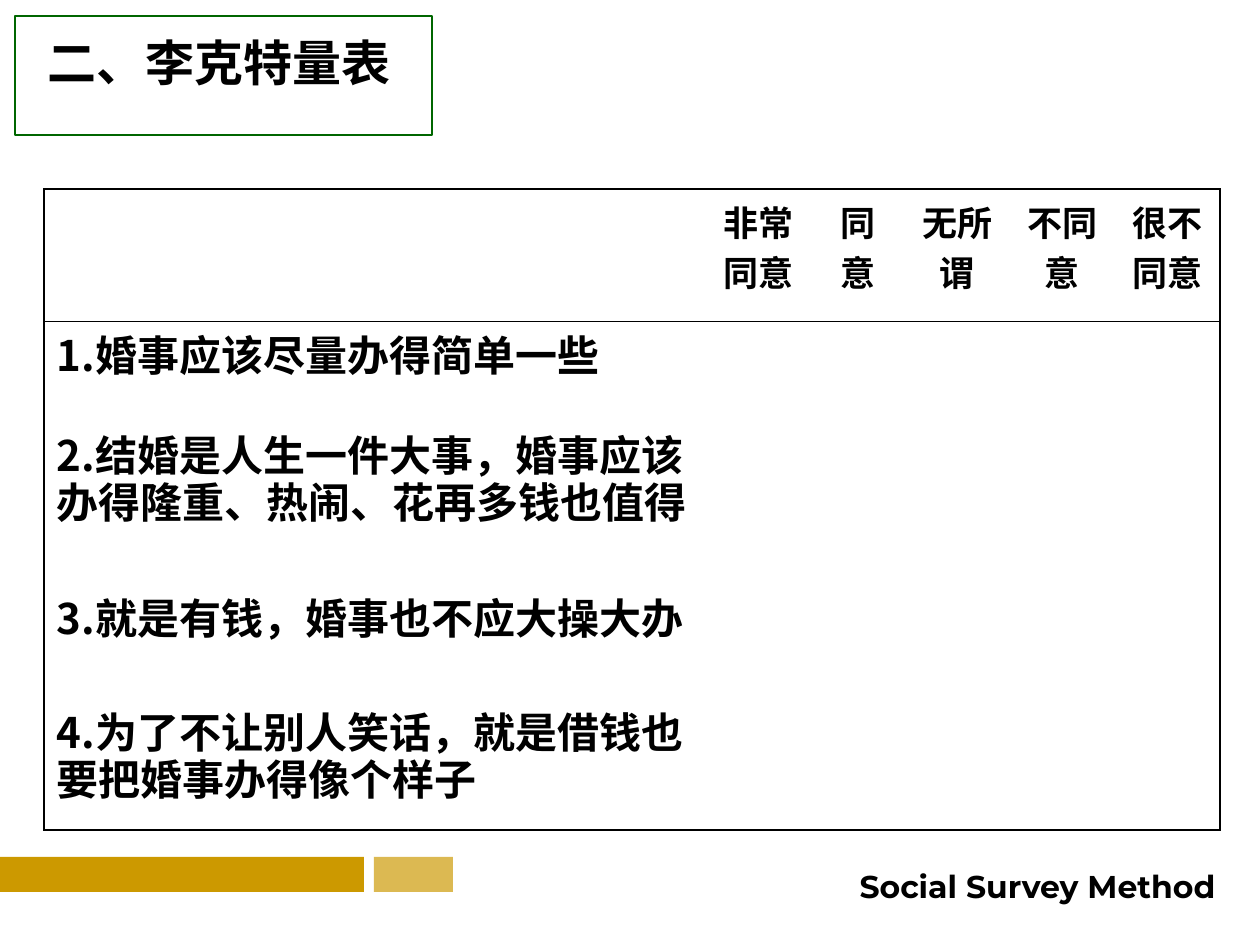
from lxml import etree
from pptx import Presentation
from pptx import util as u
from pptx.dml.color import RGBColor
from pptx.enum import shapes, text
from pptx.oxml import parse_xml
from pptx.oxml.ns import nsdecls, qn

BLACK = RGBColor(0x00, 0x00, 0x00)
GOLD = RGBColor(0xCC, 0x99, 0x00)
GREEN = RGBColor(0x00, 0x66, 0x00)
EMU_PER_PX = 914400 / 126
HEADINGS = ["非常同意", "同意", "无所谓", "不同意", "很不同意"]
STATEMENTS = [
    "1.婚事应该尽量办得简单一些",
    "2.结婚是人生一件大事，婚事应该办得隆重、热闹、花再多钱也值得",
    "3.就是有钱，婚事也不应大操大办",
    "4.为了不让别人笑话，就是借钱也要把婚事办得像个样子",
]
COLUMNS = [662, 105, 94, 105, 105, 105]
ROWS = [132, 100, 163, 114, 132]


def px(*lengths):
    return [u.Emu(round(length * EMU_PER_PX)) for length in lengths]


class SlideBuilder:
    """Holds the style and the current slide, with a method for each kind of element."""

    cjk_font = "Noto Sans CJK SC"
    outer_line, inner_line = 1.08, 0.45

    def __init__(self, presentation):
        self.slide = presentation.slides.add_slide(presentation.slide_layouts[5])

    def fill_paragraph(self, paragraph, words, size, font, align=text.PP_ALIGN.LEFT):
        run = paragraph.add_run()
        run.text = words
        paragraph.alignment = align
        run.font.name, run.font.size, run.font.bold = font, u.Pt(size), True
        run.font.color.rgb = BLACK
        east_asian = etree.Element(qn("a:ea"), typeface=self.cjk_font)
        run.font._element.find(qn("a:latin")).addnext(east_asian)

    def title(self, box, words):
        title = self.slide.shapes.title
        title.left, title.top, title.width, title.height = px(*box)
        frame = title.text_frame
        frame.word_wrap = True
        frame.auto_size = text.MSO_AUTO_SIZE.NONE
        frame.vertical_anchor = text.MSO_ANCHOR.TOP
        self.fill_paragraph(frame.paragraphs[0], words, 28, "Arial")

    def rectangle(self, box, fill=None, line=None, alpha=None):
        shape = self.slide.shapes.add_shape(shapes.MSO_SHAPE.RECTANGLE, *px(*box))
        shape.shadow.inherit = False
        if fill is None:
            shape.fill.background()
        else:
            shape.fill.solid()
            shape.fill.fore_color.rgb = fill
        if line is None:
            shape.line.fill.background()
        else:
            shape.line.color.rgb = line
            shape.line.width = u.Pt(0.75)
        if alpha is not None:
            color = shape._element.spPr.find(".//" + qn("a:srgbClr"))
            etree.SubElement(color, qn("a:alpha"), val=str(alpha * 1000))

    def label(self, box, words):
        frame = self.slide.shapes.add_textbox(*px(*box)).text_frame
        frame.word_wrap = False
        self.fill_paragraph(frame.paragraphs[0], words, 18, "Montserrat", text.PP_ALIGN.CENTER)

    def borders(self, cell, widths):
        properties = cell._tc.get_or_add_tcPr()
        for index, (side, width) in enumerate(zip("LRTB", widths)):
            paint = f'<a:solidFill><a:srgbClr val="{BLACK}"/></a:solidFill>' if width else "<a:noFill/>"
            properties.insert(index, parse_xml(
                f'<a:ln{side} {nsdecls("a")} w="{int(u.Pt(width))}">{paint}</a:ln{side}>'))

    def scale_table(self, left, top):
        frame = self.slide.shapes.add_table(
            len(ROWS), len(COLUMNS), *px(left, top, sum(COLUMNS), sum(ROWS)))
        table = frame.table
        table.first_row = table.horz_banding = False
        for column, width in zip(table.columns, px(*COLUMNS)):
            column.width = width
        for row, height in zip(table.rows, px(*ROWS)):
            row.height = height
        last_row, last_column = len(ROWS) - 1, len(COLUMNS) - 1
        for row in range(len(ROWS)):
            for column in range(len(COLUMNS)):
                cell = table.cell(row, column)
                cell.fill.background()
                self.borders(cell, (
                    self.outer_line if column == 0 else 0,
                    self.outer_line if column == last_column else 0,
                    {0: self.outer_line, 1: self.inner_line}.get(row, 0),
                    {0: self.inner_line, last_row: self.outer_line}.get(row, 0)))
        for column, heading in enumerate(HEADINGS, 1):
            paragraph = table.cell(0, column).text_frame.paragraphs[0]
            self.fill_paragraph(paragraph, heading, 20, self.cjk_font, text.PP_ALIGN.CENTER)
        for row, statement in enumerate(STATEMENTS, 1):
            cell = table.cell(row, 0)
            cell.margin_top, cell.margin_bottom = u.Pt(9), 0
            paragraph = cell.text_frame.paragraphs[0]
            paragraph.line_spacing = u.Pt(27)
            self.fill_paragraph(paragraph, statement, 24, self.cjk_font)


def main():
    presentation = Presentation()
    presentation.slide_width, presentation.slide_height = px(1260, 945)
    builder = SlideBuilder(presentation)
    builder.rectangle((0, 857, 364, 35), fill=GOLD)
    builder.rectangle((374, 857, 79, 35), fill=GOLD, alpha=68)
    builder.label((828, 861, 419, 42), "Social Survey Method")
    builder.scale_table(44, 189)
    builder.title((35, 26, 566, 72), "二、李克特量表")
    builder.rectangle((15, 16, 417, 119), line=GREEN)
    presentation.save("out.pptx")


if __name__ == "__main__":
    main()
